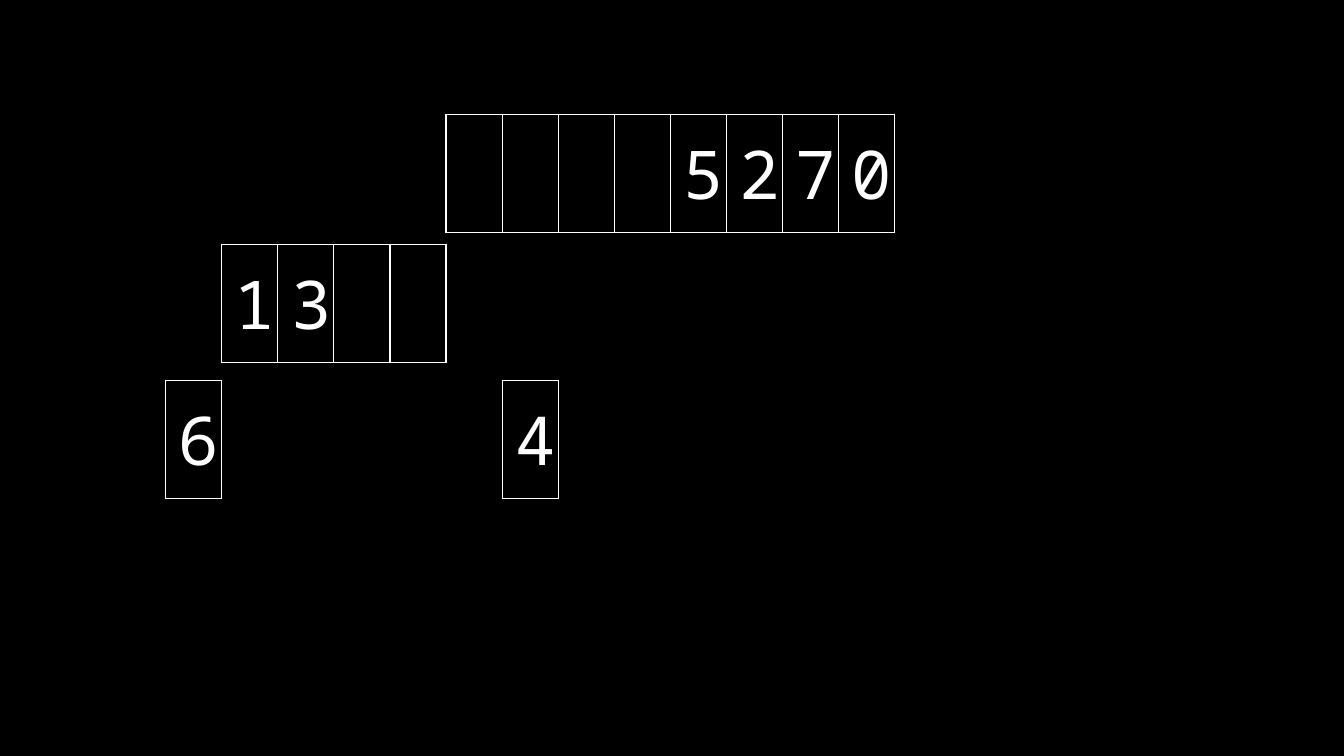
from pptx import Presentation
from pptx.dml.color import RGBColor
from pptx.enum.text import MSO_ANCHOR, PP_ALIGN
from pptx.oxml.ns import qn
from pptx.util import Cm, Pt
from lxml.etree import SubElement

CELL_WIDTH = 1.06
ROW_HEIGHT = 0.81
FRAME_SIZE = 8.33
GRID_LEFT = 2.07
ALL_SIDES = "LRTB"


def color(hex_code):
    return RGBColor.from_string(hex_code)


def write_text(frame, text, size, font, hex_code, align=PP_ALIGN.CENTER):
    para = frame.paragraphs[0]
    para.alignment = align
    span = para.add_run()
    span.text = text
    span.font.size = Pt(size)
    span.font.name = font
    span.font.color.rgb = color(hex_code)


class DigitSlide:
    font = "Noto Sans Mono"
    size = 36
    ink = "FFFFFF"
    ground = "000000"
    border_width = 0.75
    margin = 0.25

    def __init__(self, deck):
        self.page = deck.slides.add_slide(deck.slide_layouts[6])
        fill = self.page.background.fill
        fill.solid()
        fill.fore_color.rgb = color(self.ground)

    def borders(self, cell, sides):
        """Draw the named sides of a cell and blank the others."""
        properties = cell._tc.get_or_add_tcPr()
        for side in ALL_SIDES:
            line = SubElement(properties, qn(f"a:ln{side}"), w=str(Pt(self.border_width)))
            if side in sides:
                paint = SubElement(line, qn("a:solidFill"))
                SubElement(paint, qn("a:srgbClr"), val=self.ink)
            else:
                SubElement(line, qn("a:noFill"))

    def cell(self, cell, digit, sides):
        cell.margin_left = cell.margin_right = Cm(self.margin)
        cell.margin_top = cell.margin_bottom = Cm(self.margin)
        cell.vertical_anchor = MSO_ANCHOR.MIDDLE
        self.borders(cell, sides)
        cell.fill.background()
        if digit.strip():
            write_text(cell.text_frame, digit, size=self.size, font=self.font, hex_code=self.ink)

    def digit_row(self, start, top, digits, first_sides=ALL_SIDES):
        """Add a one-row table; start counts grid columns, a space is an empty cell."""
        frame = self.page.shapes.add_table(
            1, len(digits), Cm(GRID_LEFT + start * CELL_WIDTH), Cm(top),
            Cm(FRAME_SIZE), Cm(FRAME_SIZE))
        table = frame.table
        table.first_row = table.horz_banding = False
        table.rows[0].height = Cm(ROW_HEIGHT)
        for index, digit in enumerate(digits):
            table.columns[index].width = Cm(CELL_WIDTH)
            self.cell(table.cell(0, index), digit, ALL_SIDES if index else first_sides)
        frame.width = frame.height = Cm(FRAME_SIZE)


def main():
    deck = Presentation()
    deck.slide_width, deck.slide_height = Cm(25.4), Cm(14.29)
    slide = DigitSlide(deck)
    slide.digit_row(6, 2.16, "    5270")
    slide.digit_row(2, 4.62, "13  ")
    for start, digits in ((0, " 6"), (6, " 4")):
        slide.digit_row(start, 7.19, digits, first_sides="R")
    deck.save("out.pptx")


if __name__ == "__main__":
    main()
